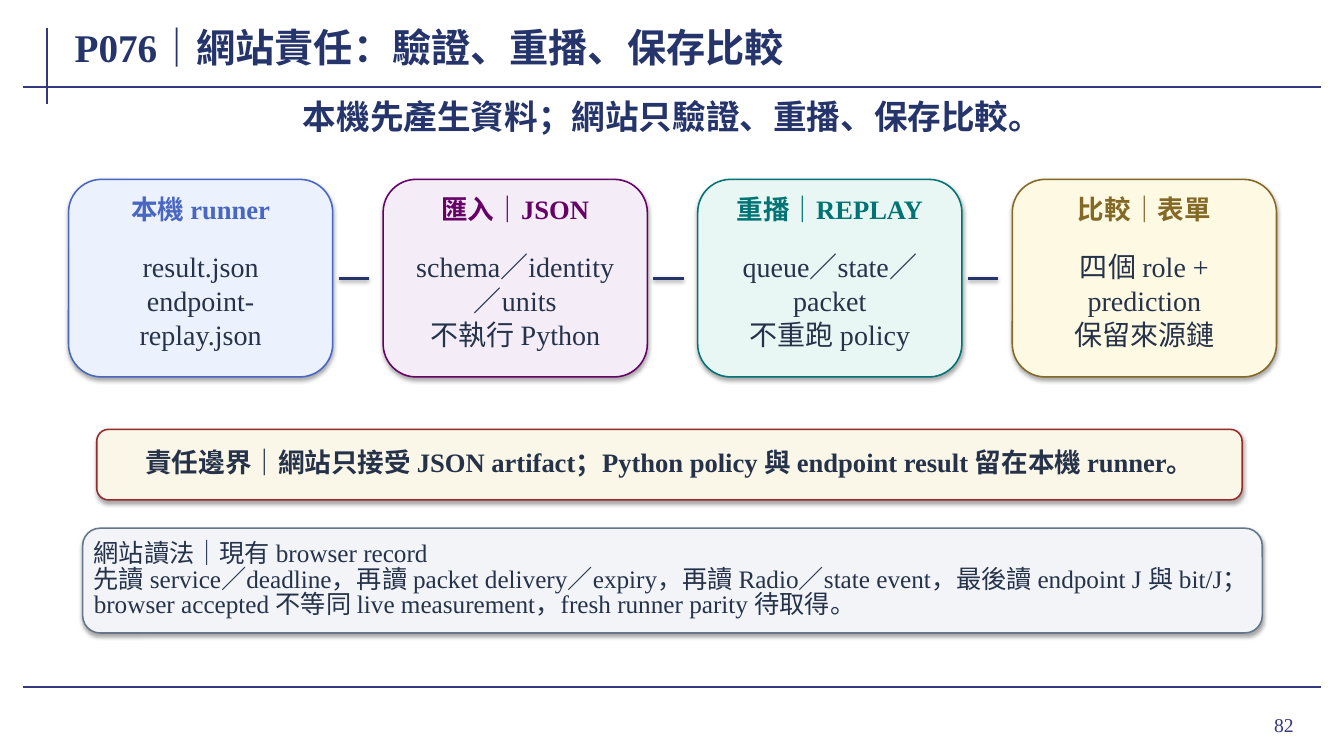
import dataclasses
import typing

import lxml.etree
import pptx
import pptx.dml.color
import pptx.enum.shapes
import pptx.enum.text
import pptx.oxml.ns
import pptx.util

Inches = pptx.util.Inches
Pt = pptx.util.Pt
ALIGN = pptx.enum.text.PP_ALIGN
SHAPE = pptx.enum.shapes.MSO_SHAPE
Box = tuple[float, float, float, float]

FONT = "Times New Roman"
HUES = {
    "frame": "35377F", "navy": "25356B", "ink": "25324A",
    "blue": "4967C2", "ice": "ECF1FE",
    "plum": "660066", "lilac": "F4EDF7",
    "teal": "007374", "mint": "E8F7F4",
    "gold": "846826", "cream": "FDF9E2",
    "red": "992A2A", "ivory": "FAF7E8",
    "slate": "65758B", "mist": "F2F4F8",
}


@dataclasses.dataclass
class Style:
    size: float
    hue: str
    bold: bool = False
    align: typing.Any = ALIGN.CENTER
    pad: tuple[float, float] = (0.08, 0.04)
    space: typing.Optional[float] = None


@dataclasses.dataclass
class Card:
    head: str
    body: str
    hue: str
    fill: str


@dataclasses.dataclass
class Panel:
    text: str
    box: Box
    hue: str
    fill: str
    style: Style


@dataclasses.dataclass
class Shade:
    alpha: int
    blur: float
    dist: float


CARDS = [
    Card("本機 runner", "result.json\nendpoint-replay.json", "blue", "ice"),
    Card("匯入｜JSON", "schema／identity／units\n不執行 Python", "plum", "lilac"),
    Card("重播｜REPLAY", "queue／state／packet\n不重跑 policy", "teal", "mint"),
    Card("比較｜表單", "四個 role + prediction\n保留來源鏈", "gold", "cream"),
]
PANELS = [
    Panel("責任邊界｜網站只接受 JSON artifact；Python policy 與 endpoint result "
          "留在本機 runner。", (0.96, 4.26, 11.36, 0.7), "red", "ivory",
          Style(19, "ink", True, pad=(0.08, 0.02), space=0.84)),
    Panel("網站讀法｜現有 browser record\n"
          "先讀 service／deadline，再讀 packet delivery／expiry，"
          "再讀 Radio／state event，最後讀 endpoint J 與 bit/J；"
          "browser accepted 不等同 live measurement，"
          "fresh runner parity 待取得。", (0.82, 5.24, 11.7, 1.04), "slate", "mist",
          Style(18, "ink", align=ALIGN.LEFT, pad=(0.06, 0.02), space=0.84)),
]
RULES = [(0.47, 0.28, 0.47, 1.03), (0.23, 0.86, 13.1, 0.86), (0.23, 6.82, 13.1, 6.82)]
CARD_SHADE = Shade(35, 3.1, 1.8)
LINK_SHADE = Shade(38, 3.1, 1.6)
LEFT, TOP, WIDE, HIGH, STEP = 0.68, 1.78, 2.62, 1.96, 3.12


def tint(name: str) -> pptx.dml.color.RGBColor:
    return pptx.dml.color.RGBColor.from_string(HUES[name])


def cast(shape: typing.Any, shade: typing.Optional[Shade]) -> None:
    """Set the downward shadow, or none; call once the line is set."""
    qn = pptx.oxml.ns.qn
    sub = lxml.etree.SubElement
    effect = sub(shape._element.spPr, qn("a:effectLst"))
    if shade:
        outer = sub(effect, qn("a:outerShdw"), blurRad=str(Pt(shade.blur)),
                    dist=str(Pt(shade.dist)), dir="5400000", rotWithShape="0")
        black = sub(outer, qn("a:srgbClr"), val="000000")
        sub(black, qn("a:alpha"), val=str(shade.alpha * 1000))


def place(shape: typing.Any, box: Box) -> None:
    shape.left, shape.top, shape.width, shape.height = map(Inches, box)


def write(shape: typing.Any, text: str, style: Style) -> None:
    frame = shape.text_frame
    frame.text = text
    frame.word_wrap = True
    frame.auto_size = pptx.enum.text.MSO_AUTO_SIZE.NONE
    frame.vertical_anchor = pptx.enum.text.MSO_ANCHOR.MIDDLE
    frame.margin_left = frame.margin_right = Inches(style.pad[0])
    frame.margin_top = frame.margin_bottom = Inches(style.pad[1])
    for para in frame.paragraphs:
        para.alignment = style.align
        if style.space:
            para.line_spacing = style.space
        for run in para.runs:
            run.font.name = FONT
            run.font.size = Pt(style.size)
            run.font.bold = style.bold
            run.font.color.rgb = tint(style.hue)


def label(slide: typing.Any, text: str, box: Box, style: Style) -> None:
    write(slide.shapes.add_textbox(*map(Inches, box)), text, style)


def plate(slide: typing.Any, box: Box, hue: str, fill: str) -> typing.Any:
    shape = slide.shapes.add_shape(SHAPE.ROUNDED_RECTANGLE, *map(Inches, box))
    shape.fill.solid()
    shape.fill.fore_color.rgb = tint(fill)
    shape.line.color.rgb = tint(hue)
    shape.line.width = Pt(1.1)
    cast(shape, CARD_SHADE)
    return shape


def rule(slide: typing.Any, ends: Box, hue: str, width: float,
         shade: typing.Optional[Shade] = None) -> None:
    line = slide.shapes.add_connector(
        pptx.enum.shapes.MSO_CONNECTOR.STRAIGHT, *map(Inches, ends))
    line.line.color.rgb = tint(hue)
    line.line.width = Pt(width)
    cast(line, shade)


def main() -> None:
    deck = pptx.Presentation()
    deck.slide_width, deck.slide_height = Inches(13.33), Inches(7.5)
    slide = deck.slides.add_slide(deck.slide_layouts[5])

    # Frame lines and page number
    for ends in RULES:
        rule(slide, ends, "frame", 1.5)
    label(slide, "82", (11.96, 6.93, 0.97, 0.52),
          Style(14, "frame", align=ALIGN.RIGHT, pad=(0.1, 0.05)))

    # Title and key message
    title = slide.shapes.title
    place(title, (0.72, 0.2, 10.35, 0.53))
    write(title, "P076｜網站責任：驗證、重播、保存比較",
          Style(28, "navy", True, ALIGN.LEFT, (0.02, 0)))
    label(slide, "本機先產生資料；網站只驗證、重播、保存比較。",
          (0.82, 0.93, 11.7, 0.45), Style(24, "navy", True, pad=(0.02, 0)))

    # Four stages, joined by short links
    for spot, card in enumerate(CARDS):
        left = LEFT + spot * STEP
        plate(slide, (left, TOP, WIDE, HIGH), card.hue, card.fill)
        label(slide, card.head, (left + 0.14, TOP + 0.08, WIDE - 0.28, 0.42),
              Style(19, card.hue, True))
        label(slide, card.body, (left + 0.15, TOP + 0.54, WIDE - 0.3, 1.32),
              Style(20, "ink"))
        if spot < len(CARDS) - 1:
            start, mid = left + WIDE + 0.06, TOP + HIGH / 2
            rule(slide, (start, mid, start + 0.3, mid), "navy", 2, LINK_SHADE)

    # Boundary and reading notes
    for panel in PANELS:
        shape = plate(slide, panel.box, panel.hue, panel.fill)
        write(shape, panel.text, panel.style)

    deck.save("out.pptx")


if __name__ == "__main__":
    main()
